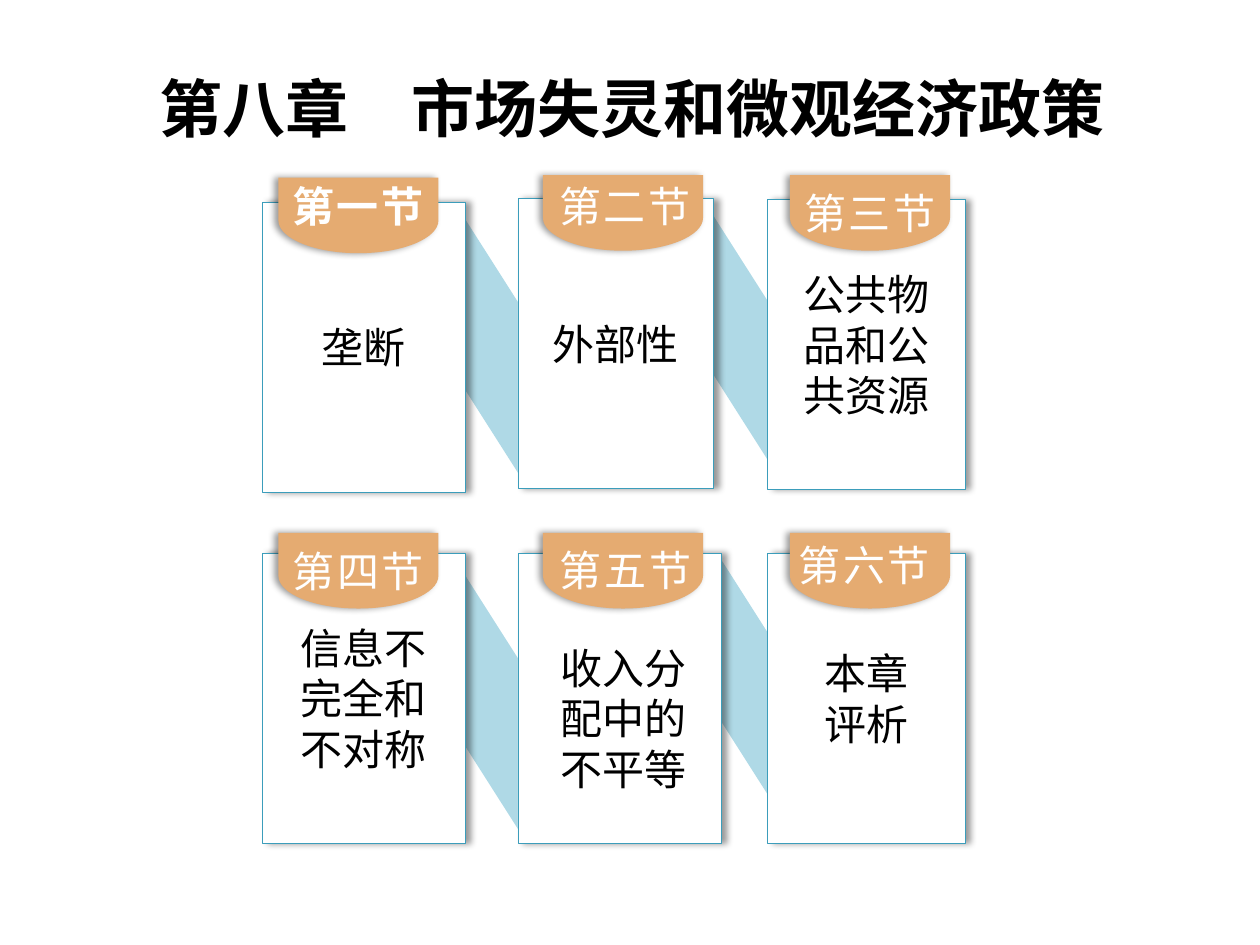
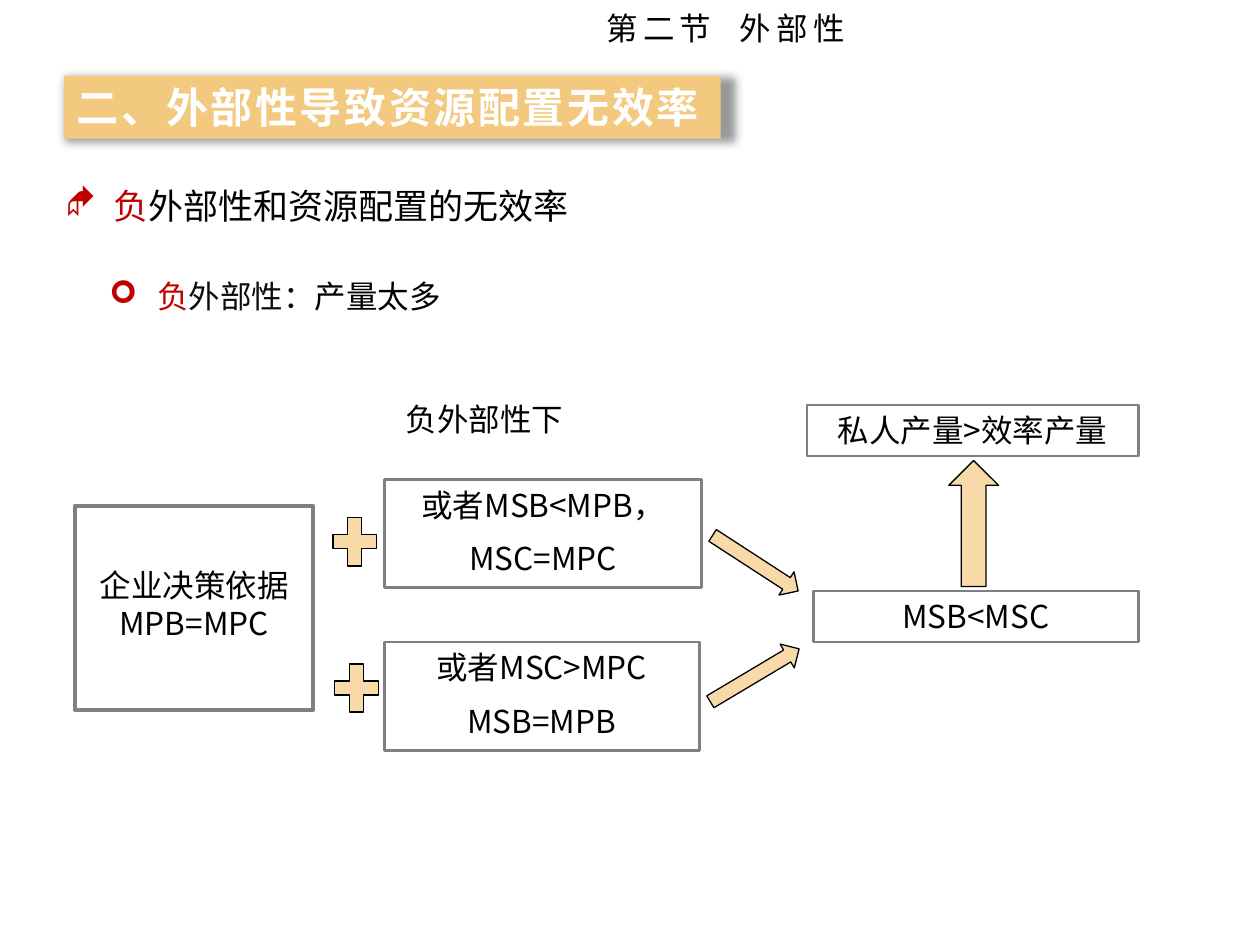
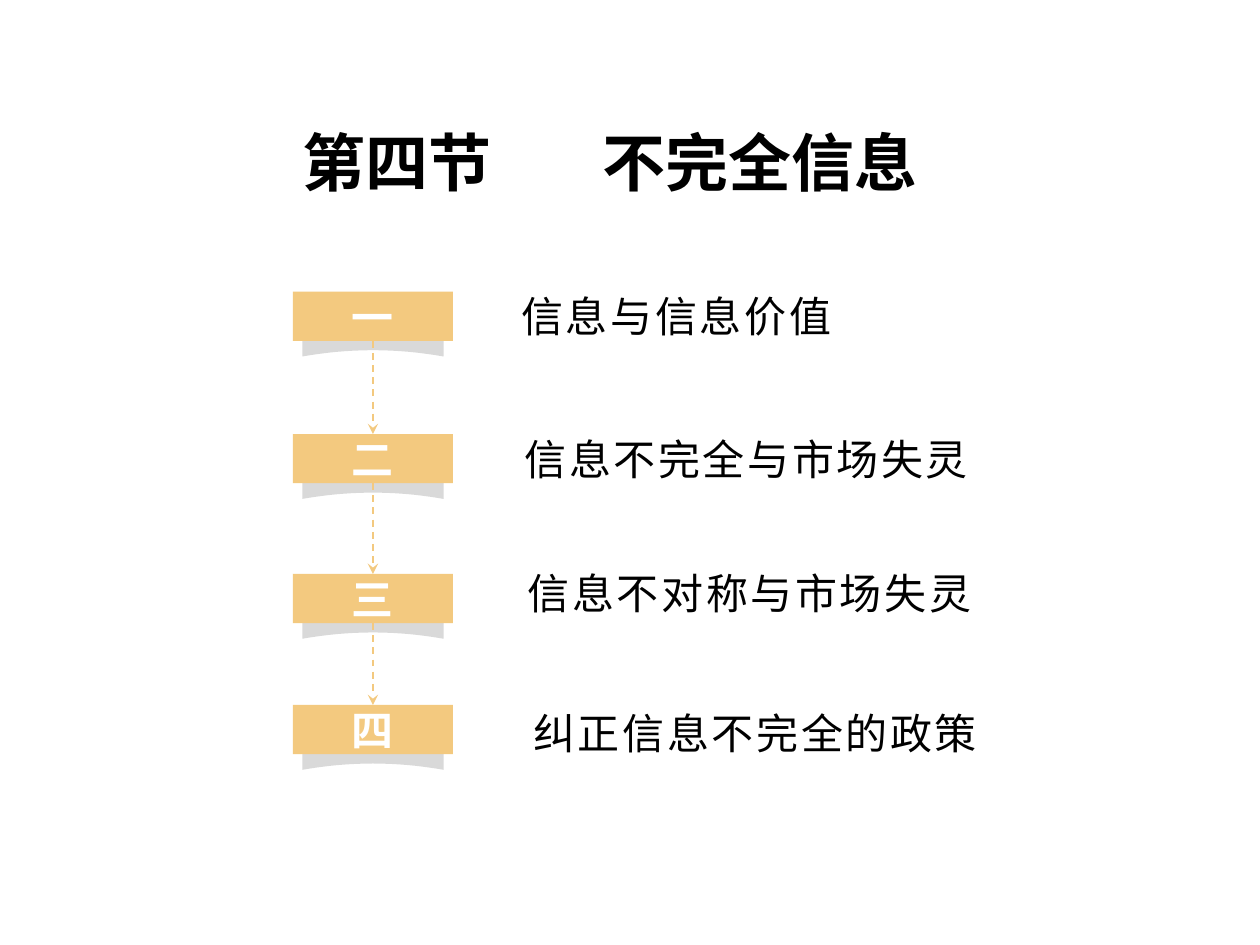
from dataclasses import dataclass, replace
from typing import NamedTuple, Optional, Sequence

from lxml.etree import SubElement
from pptx import Presentation
from pptx.dml.color import RGBColor
from pptx.enum.dml import MSO_LINE
from pptx.enum.shapes import MSO_CONNECTOR, MSO_SHAPE
from pptx.enum.text import MSO_ANCHOR, MSO_AUTO_SIZE, PP_ALIGN
from pptx.oxml.ns import qn
from pptx.shapes.autoshape import Shape
from pptx.slide import Slide
from pptx.util import Inches, Pt

# Shared look: a grid of 100 columns and 75 rows
COLUMNS, ROWS = 100, 75
CELL = Inches(0.1)
FONT = "Noto Sans CJK SC"
COLORS = {
    "ink": "000000", "soft_ink": "0D0D0D", "white": "FFFFFF", "red": "C00000",
    "ribbon": "AFD9E6", "card_edge": "3B9DBB", "tab": "E5AB71",
    "gold": "F3C97F", "arrow": "F7DAA7", "frame": "808080", "fold": "D9D9D9",
}


class Box(NamedTuple):
    """A place on the grid, in columns and rows."""
    left: float
    top: float
    width: float
    height: float

    def lengths(self) -> list[int]:
        return [cells(value) for value in self]


class Glow(NamedTuple):
    """A dark outer shadow; lengths in points, angle in degrees, scale in percent."""
    blur: float
    distance: float
    angle: int
    scale: int = 100


@dataclass(frozen=True)
class Style:
    size: int
    color: str = "ink"
    bold: bool = False
    spacing: float = 0


HEADING = Style(36, bold=True)
BODY = Style(24)
SPACED = Style(24, spacing=1.5)
TAB_LABEL = Style(24, "white", spacing=1.5)
BAND = replace(TAB_LABEL, bold=True)
NOTE = Style(18)


def cells(value: float) -> int:
    return round(value * CELL)


def color(name: str) -> RGBColor:
    return RGBColor.from_string(COLORS[name])


# Text
def add_span(para, text: str, style: Style) -> None:
    span = para.add_run()
    span.text = text
    font = span.font
    font.name, font.size, font.bold = FONT, Pt(style.size), style.bold
    font.color.rgb = color(style.color)
    properties = font._element
    SubElement(properties, qn("a:ea")).set("typeface", FONT)
    if style.spacing:
        properties.set("spc", str(round(style.spacing * 100)))


def write(shape: Shape, lines: Sequence[str], style: Style,
          align: PP_ALIGN = PP_ALIGN.CENTER,
          anchor: MSO_ANCHOR = MSO_ANCHOR.MIDDLE, gap: float = 0) -> None:
    frame = shape.text_frame
    frame.word_wrap = True
    frame.auto_size = MSO_AUTO_SIZE.NONE
    frame.vertical_anchor = anchor
    for index, line in enumerate(lines):
        para = frame.add_paragraph() if index else frame.paragraphs[0]
        para.alignment = align
        if index and gap:
            para.space_before = Pt(gap)
        add_span(para, line, style)


def add_label(page: Slide, box: Box, lines: Sequence[str], style: Style,
              align: PP_ALIGN = PP_ALIGN.CENTER,
              anchor: MSO_ANCHOR = MSO_ANCHOR.TOP) -> Shape:
    label = page.shapes.add_textbox(*box.lengths())
    write(label, lines, style, align, anchor)
    return label


def add_bullet(page: Slide, box: Box, mark: str,
               spans: Sequence[tuple[str, str]], size: int) -> None:
    item = page.shapes.add_textbox(*box.lengths())
    item.text_frame.word_wrap = True
    para = item.text_frame.paragraphs[0]
    properties = para._p.get_or_add_pPr()
    properties.set("marL", str(cells(3.8)))
    properties.set("indent", str(-cells(3.8)))
    SubElement(properties, qn("a:buFont")).set("typeface", "Wingdings")
    SubElement(properties, qn("a:buChar")).set("char", mark)
    for text, name in spans:
        add_span(para, text, Style(size, name))


def set_tab_stop(shape: Shape, position: float) -> None:
    properties = shape.text_frame.paragraphs[0]._p.get_or_add_pPr()
    stops = SubElement(properties, qn("a:tabLst"))
    SubElement(stops, qn("a:tab"), pos=str(cells(position)), algn="l")


def place_title(page: Slide, box: Box, text: str, style: Style,
                align: PP_ALIGN, anchor: MSO_ANCHOR = MSO_ANCHOR.MIDDLE) -> Shape:
    title = page.shapes.title
    title.left, title.top, title.width, title.height = box.lengths()
    write(title, [text], style, align, anchor)
    return title


# Shapes
def paint(shape: Shape, fill: Optional[str] = None, line: Optional[str] = None,
          weight: float = 0.75, glow: Optional[Glow] = None) -> Shape:
    if fill:
        shape.fill.solid()
        shape.fill.fore_color.rgb = color(fill)
    else:
        shape.fill.background()
    if line:
        shape.line.color.rgb = color(line)
        shape.line.width = Pt(weight)
    else:
        shape.line.fill.background()
    shape.shadow.inherit = False
    if glow:
        effects = shape.element.spPr.find(qn("a:effectLst"))
        scale = str(glow.scale * 1000)
        outer = SubElement(effects, qn("a:outerShdw"), blurRad=str(Pt(glow.blur)),
                           dist=str(Pt(glow.distance)), dir=str(glow.angle * 60000),
                           sx=scale, sy=scale, algn="ctr", rotWithShape="0")
        tint = SubElement(outer, qn("a:srgbClr"), val=COLORS["ink"])
        SubElement(tint, qn("a:alpha"), val="40000")
    return shape


def add_block(page: Slide, kind: MSO_SHAPE, box: Box, rotation: float = 0,
              **look) -> Shape:
    block = page.shapes.add_shape(kind, *box.lengths())
    block.rotation = rotation
    return paint(block, **look)


def add_outline(page: Slide, points: Sequence[tuple[float, float]], **look) -> Shape:
    corners = [(cells(x), cells(y)) for x, y in points]
    builder = page.shapes.build_freeform(*corners[0], scale=1.0)
    builder.add_line_segments(corners[1:], close=True)
    return paint(builder.convert_to_shape(), **look)


def add_arrow_line(page: Slide, x: float, top: float, bottom: float) -> None:
    arrow = page.shapes.add_connector(MSO_CONNECTOR.STRAIGHT, cells(x), cells(top),
                                      cells(x), cells(bottom))
    arrow.line.color.rgb = color("gold")
    arrow.line.width = Pt(1)
    arrow.line.dash_style = MSO_LINE.DASH
    properties = arrow.element.spPr
    SubElement(properties.find(qn("a:ln")), qn("a:tailEnd"), type="stealth")
    SubElement(properties, qn("a:effectLst"))


# Slide 1: chapter overview
@dataclass(frozen=True)
class Section:
    column: int
    top: float
    width: float
    tab_top: float
    name: str
    topic: tuple[str, ...]
    name_box: Optional[Box] = None
    topic_box: Optional[Box] = None
    name_style: Style = TAB_LABEL


CARD_LEFTS = (20.8, 41.1, 60.9)
TAB_LEFTS = (22.1, 43.1, 62.7)
CARD_HEIGHT = 23
TAB_WIDTH, TAB_HEIGHT, TAB_CURVE = 12.7, 6, 2.6
ROUNDNESS = 0.55
CARD_GLOW, TAB_GLOW = Glow(4, 3, 0), Glow(4, 2, 180)
RIBBONS = (Box(48.9, 52, 21.8, 5.7), Box(27.4, 52.3, 22.5, 5.7),
           Box(48, 24.4, 22.5, 6.3), Box(27.7, 24.5, 22.5, 5.7))
SECTIONS = (
    Section(0, 16.05, 16.15, 14.1, "第一节", ("垄断",),
            Box(21.7, 13.85, 13.4, 5), name_style=BAND),
    Section(1, 15.75, 15.55, 13.9, "第二节", ("外部性",), Box(42.9, 13.85, 13.4, 5)),
    Section(2, 15.85, 15.7, 13.9, "第三节", ("公共物", "品和公", "共资源")),
    Section(0, 43.9, 16.15, 42.3, "第四节", ("信息不", "完全和", "不对称")),
    Section(1, 43.9, 16.15, 42.3, "第五节", ("收入分", "配中的", "不平等"),
            Box(43, 42.75, 13.3, 5), Box(39.25, 50.5, 20.4, 13.1)),
    Section(2, 43.9, 15.7, 42.3, "第六节", ("本章", "评析"), Box(61.7, 42.3, 13.8, 5)),
)


def add_tab(page: Slide, left: float, top: float) -> Shape:
    """A tag with a square top and a half-ellipse bottom of two curves."""
    right, middle = left + TAB_WIDTH, left + TAB_WIDTH / 2
    bottom = top + TAB_HEIGHT
    shoulder = bottom - TAB_CURVE
    tab = add_outline(page, [(left, top), (right, top), (right, shoulder),
                             (middle, bottom), (left, shoulder)],
                      fill="tab", glow=TAB_GLOW)
    pull_x, pull_y = ROUNDNESS * TAB_WIDTH / 2, ROUNDNESS * TAB_CURVE
    handles = (((right, shoulder + pull_y), (middle + pull_x, bottom)),
               ((middle - pull_x, bottom), (left, shoulder + pull_y)))
    segments = list(tab.element.iter(qn("a:lnTo")))[2:4]
    for segment, pair in zip(segments, handles):
        segment.tag = qn("a:cubicBezTo")
        for index, (x, y) in enumerate(pair):
            handle = SubElement(segment, qn("a:pt"), x=str(cells(x - left)),
                                y=str(cells(y - top)))
            segment.insert(index, handle)
    return tab


def add_section(page: Slide, section: Section) -> None:
    box = Box(CARD_LEFTS[section.column], section.top, section.width, CARD_HEIGHT)
    card = add_block(page, MSO_SHAPE.RECTANGLE, box, fill="white",
                     line="card_edge", weight=0.25, glow=CARD_GLOW)
    tab = add_tab(page, TAB_LEFTS[section.column], section.tab_top)
    for shape, place, lines, style in (
            (card, section.topic_box, section.topic, BODY),
            (tab, section.name_box, (section.name,), section.name_style)):
        if place:
            add_label(page, place, lines, style)
        else:
            write(shape, lines, style)


def build_overview(page: Slide) -> None:
    place_title(page, Box(5.15, 3.8, 90, 9.4), "第八章\t市场失灵和微观经济政策",
                HEADING, PP_ALIGN.CENTER)
    for box in RIBBONS:
        ribbon = add_block(page, MSO_SHAPE.PARALLELOGRAM, box, 270, fill="ribbon")
        ribbon.adjustments[0] = 1.57
    for section in SECTIONS:
        add_section(page, section)


# Slide 2: negative externality
class Statement(NamedTuple):
    box: Box
    lines: tuple[str, ...]
    weight: float = 1.5
    inset: float = 0.5


class Sign(NamedTuple):
    kind: MSO_SHAPE
    box: Box
    rotation: float = 0


STATEMENTS = (
    Statement(Box(5.95, 40.15, 18.9, 16.2), ("企业决策依据MPB=MPC",), 2.25, 4.75),
    Statement(Box(30.5, 38.05, 25.2, 8.6), ("或者MSB<MPB，", "MSC=MPC")),
    Statement(Box(30.5, 50.95, 25, 8.6), ("或者MSC>MPC", "MSB=MPB")),
    Statement(Box(64.05, 32.15, 26.3, 4.05), ("私人产量>效率产量",)),
    Statement(Box(64.55, 46.9, 25.8, 4.05), ("MSB<MSC",)),
)
SIGNS = (
    Sign(MSO_SHAPE.MATH_PLUS, Box(25.8, 40.4, 4.7, 5.2)),
    Sign(MSO_SHAPE.MATH_PLUS, Box(25.95, 52, 4.7, 5.2)),
    Sign(MSO_SHAPE.RIGHT_ARROW, Box(55.9, 43.6, 8.1, 2.2), 33),
    Sign(MSO_SHAPE.RIGHT_ARROW, Box(55.8, 52.5, 8.2, 2.2), 329.2),
    Sign(MSO_SHAPE.UP_ARROW, Box(75.3, 36.55, 3.95, 10)),
)


def build_externality(page: Slide) -> None:
    banner = place_title(page, Box(5.1, 6, 52.1, 5), "二、外部性导致资源配置无效率",
                         BAND, PP_ALIGN.LEFT)
    paint(banner, fill="gold", glow=Glow(5, 0, 0, 102))

    # Running header with a tab stop between its two parts
    header = add_label(page, Box(47.15, 1, 40, 2.4), ["第二节\t外部性"],
                       Style(18, spacing=3), PP_ALIGN.LEFT, MSO_ANCHOR.MIDDLE)
    set_tab_stop(header, 10.6)

    add_bullet(page, Box(4.2, 14.15, 90, 6), "◆",
               [("负", "red"), ("外部性和资源配置的无效率", "ink")], 20)
    add_bullet(page, Box(7.7, 21.5, 40, 4), "➢",
               [("负", "red"), ("外部性：", "soft_ink"), ("产量太多", "ink")], 18)
    add_label(page, Box(31.2, 31.25, 25.2, 4), ["负外部性下"], NOTE, PP_ALIGN.LEFT)
    for statement in STATEMENTS:
        frame = add_block(page, MSO_SHAPE.RECTANGLE, statement.box,
                          line="frame", weight=statement.weight)
        write(frame, statement.lines, NOTE, anchor=MSO_ANCHOR.TOP, gap=9)
        frame.text_frame.margin_top = cells(statement.inset)
    for sign in SIGNS:
        add_block(page, sign.kind, sign.box, sign.rotation, fill="arrow", line="ink")


# Slide 3: steps of incomplete information
class Step(NamedTuple):
    top: float
    number: str
    topic: str
    topic_left: float
    topic_top: float


STEP_LEFT, STEP_WIDTH, STEP_HEIGHT = 23.25, 12.7, 3.9
STEP_CENTER = STEP_LEFT + STEP_WIDTH / 2
FOLD_HALF = 5.6
STEPS = (
    Step(23.15, "一", "信息与信息价值", 40.4, 22.6),
    Step(34.45, "二", "信息不完全与市场失灵", 40.65, 33.9),
    Step(45.55, "三", "信息不对称与市场失灵", 40.9, 44.55),
    Step(55.95, "四", "纠正信息不完全的政策", 41.35, 55.65),
)


def add_fold(page: Slide, top: float) -> None:
    """The grey curl that shows below a step's band."""
    shares = [step / 10 for step in range(-10, 11)]
    arch = [(STEP_CENTER + FOLD_HALF * share, top + 4.65 + 0.5 * share ** 2)
            for share in shares]
    roof = [(STEP_CENTER + FOLD_HALF, top + 3.7), (STEP_CENTER, top + 3.3),
            (STEP_CENTER - FOLD_HALF, top + 3.7)]
    add_outline(page, arch + roof, fill="fold")


def build_steps(page: Slide) -> None:
    title = place_title(page, Box(23, 9.3, 72, 6.4), "第四节\t不完全信息", HEADING,
                        PP_ALIGN.LEFT, MSO_ANCHOR.TOP)
    set_tab_stop(title, 23.8)
    for step in STEPS:
        add_fold(page, step.top)
        band = add_block(page, MSO_SHAPE.RECTANGLE,
                         Box(STEP_LEFT, step.top, STEP_WIDTH, STEP_HEIGHT), fill="gold")
        write(band, [step.number], BAND)
        add_label(page, Box(step.topic_left, step.topic_top, 40, 5), [step.topic],
                  SPACED, PP_ALIGN.LEFT)
    for step, following in zip(STEPS, STEPS[1:]):
        add_arrow_line(page, STEP_CENTER, step.top + STEP_HEIGHT, following.top)


def main() -> None:
    deck = Presentation()
    deck.slide_width, deck.slide_height = COLUMNS * CELL, ROWS * CELL
    title_only = deck.slide_layouts[5]
    for build in (build_overview, build_externality, build_steps):
        build(deck.slides.add_slide(title_only))
    deck.save("out.pptx")


if __name__ == "__main__":
    main()
